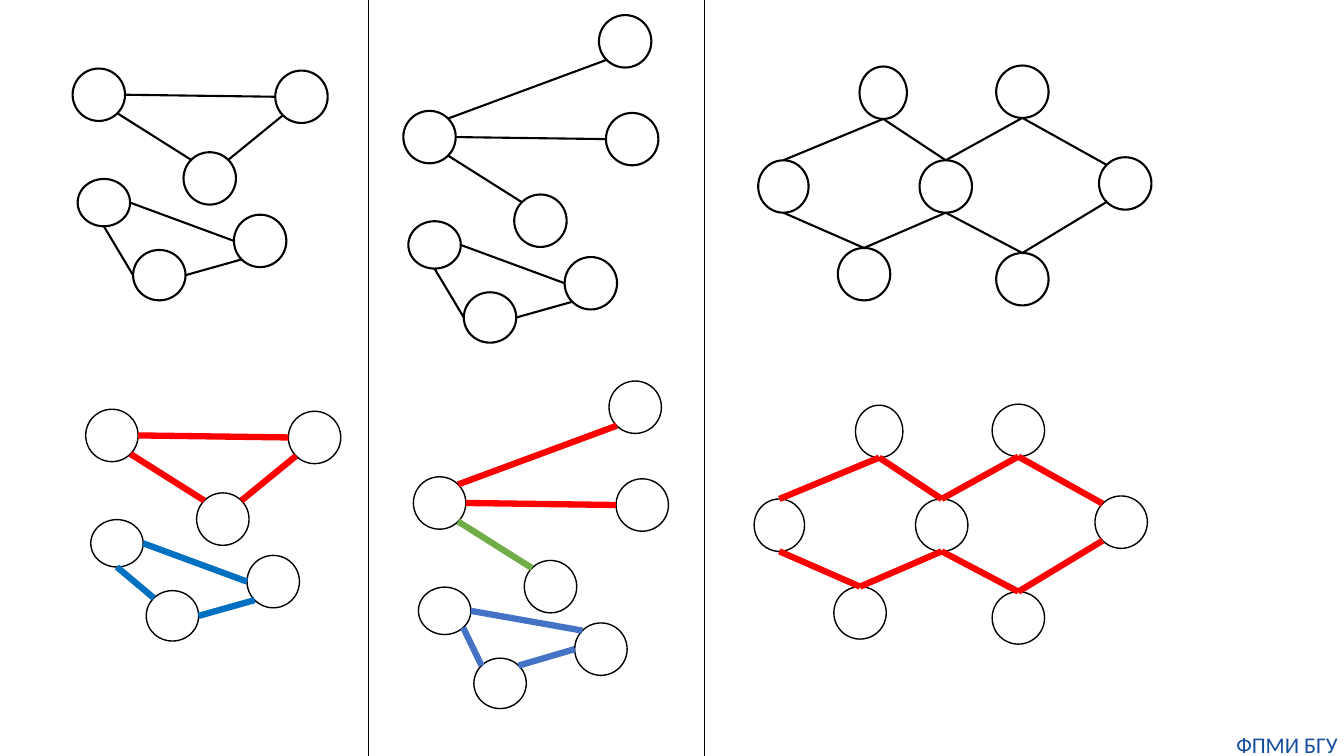
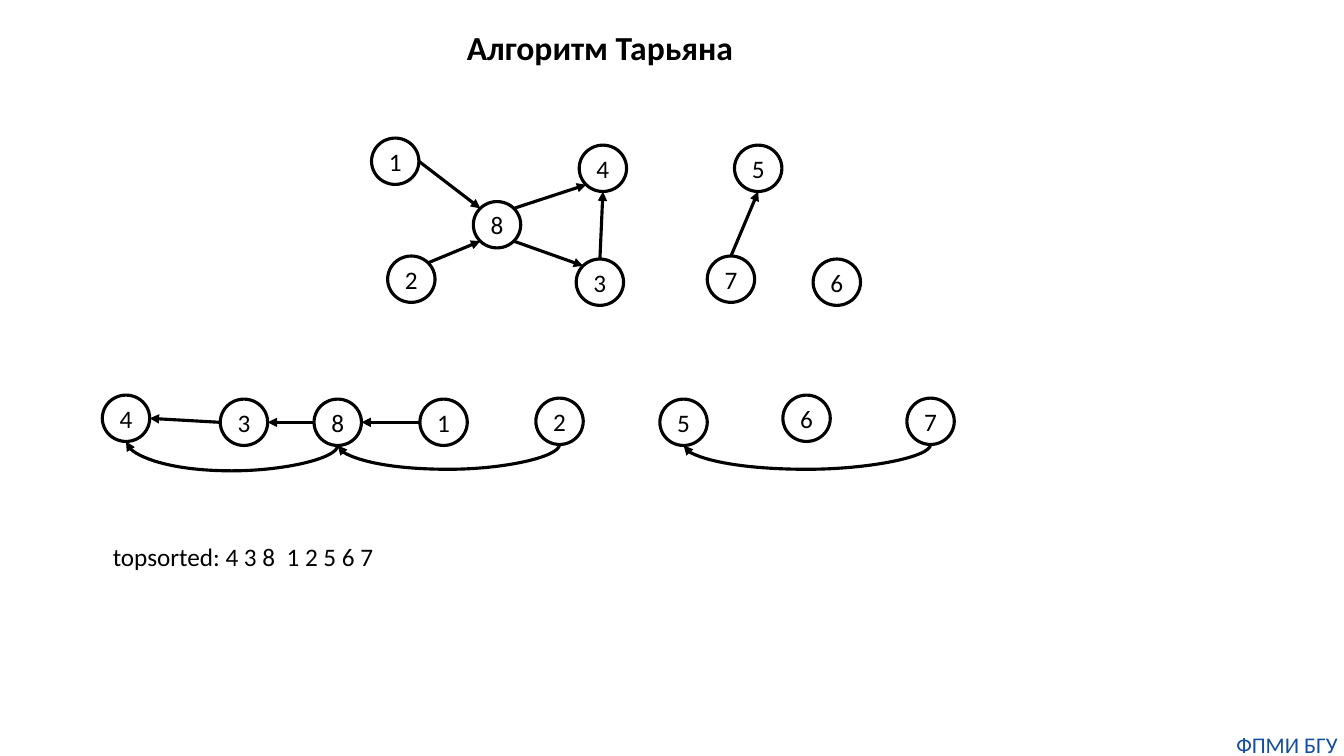
import math

import pptx
import pptx.dml.color
import pptx.enum.shapes
import pptx.enum.text
import pptx.oxml.ns
import pptx.util
from lxml import etree

Inches = pptx.util.Inches
Pt = pptx.util.Pt
qn = pptx.oxml.ns.qn
CONNECTOR = pptx.enum.shapes.MSO_CONNECTOR
ALIGN = pptx.enum.text.PP_ALIGN
ANCHOR = pptx.enum.text.MSO_ANCHOR

FONT = "Calibri"
COLORS = {
    "black": "000000",
    "red": "FF0000",
    "blue": "0070C0",
    "indigo": "4472C4",
    "green": "70AD47",
    "footer": "144E9D",
}
FOOTER = "ФПМИ БГУ"

# Connection sites of an ellipse, counterclockwise from the top
SITES = ["top", "top-left", "left", "bottom-left",
         "bottom", "bottom-right", "right", "top-right"]

# Slide 1: node centres relative to the first node, with width and height
TRIANGLES = {
    "a": (0, 0, 0.52, 0.52),
    "b": (2.01, 0.02, 0.52, 0.52),
    "c": (1.1, 0.83, 0.52, 0.52),
    "d": (0.05, 1.07, 0.52, 0.47),
    "e": (1.6, 1.45, 0.52, 0.52),
    "f": (0.6, 1.79, 0.52, 0.5),
}
STAR = {**TRIANGLES, "g": (1.94, -0.95, 0.52, 0.52)}
HEXAGONS = {
    "a": (0, 0, 0.5, 0.52),
    "b": (0.99, -0.93, 0.47, 0.52),
    "c": (2.37, -0.94, 0.52, 0.52),
    "d": (1.61, 0, 0.52, 0.52),
    "e": (0.8, 0.87, 0.52, 0.52),
    "f": (2.37, 0.92, 0.52, 0.52),
    "g": (3.39, -0.03, 0.52, 0.52),
}

# Edges: start node and site, end node and site
A_TO_B = "a right b left"
A_TO_C = "a bottom-right c top-left"
B_TO_C = "b bottom-left c top-right"
A_TO_G = "a top-right g bottom-left"
D_TO_E = "d right e left"
D_TO_F = "d bottom f left"
F_TO_E = "f right e bottom-left"
HEXAGON_EDGES = [
    "b bottom a top", "b bottom d top", "c bottom d top", "c bottom g top-left",
    "a bottom e top", "d bottom e top", "d bottom f top", "f top g bottom-left",
]

# Graphs: origin, nodes, edges by colour; the coloured ones use thick edges
PLAIN = {"outline": 1.5, "edge": 1.5}
COLORED = {"outline": 1, "edge": 4.5}
GRAPHS = [
    ((0.98, 0.94), TRIANGLES, PLAIN,
     {"black": [A_TO_B, A_TO_C, B_TO_C, D_TO_E, D_TO_F, F_TO_E]}),
    ((1.11, 4.32), TRIANGLES, COLORED,
     {"red": [A_TO_B, A_TO_C, B_TO_C],
      "blue": [D_TO_E, "d bottom f top-left", F_TO_E]}),
    ((4.26, 1.36), STAR, PLAIN,
     {"black": [A_TO_B, A_TO_C, A_TO_G, D_TO_E, D_TO_F, F_TO_E]}),
    ((4.36, 4.99), STAR, COLORED,
     {"red": [A_TO_B, A_TO_G], "green": [A_TO_C],
      "indigo": ["d right e top-left", "d bottom-right f top-left",
                 "f top-right e left"]}),
    ((7.77, 1.85), HEXAGONS, PLAIN, {"black": HEXAGON_EDGES}),
    ((7.73, 5.21), HEXAGONS, COLORED, {"red": HEXAGON_EDGES}),
]
DIVIDERS = [3.65, 6.99]

# Slide 2: numbered node centres and arrows
TITLE = "Алгоритм Тарьяна"
RESULT = "topsorted: 4 3 8  1 2 5 6 7"
NUMBERED_SIZE = (0.47, 0.46)
NUMBERED_LINE = 2.25
CURVE_SAG = 0.25
SOURCE_NODES = {
    "1": (3.92, 1.6), "2": (4.08, 2.77), "3": (5.95, 2.8), "4": (5.98, 1.67),
    "5": (7.52, 1.67), "6": (8.3, 2.8), "7": (7.25, 2.77), "8": (4.93, 2.23),
}
SOURCE_ARROWS = [
    "1 right 8 top-left", "2 top-right 8 bottom-left", "8 top-right 4 bottom-left",
    "8 bottom-right 3 top-left", "3 top 4 bottom", "7 top 5 bottom",
]
SORTED_NODES = {
    "4": (1.25, 4.15), "3": (2.42, 4.19), "8": (3.35, 4.19), "1": (4.4, 4.19),
    "2": (5.55, 4.18), "5": (6.78, 4.19), "6": (8, 4.15), "7": (9.23, 4.18),
}
SORTED_ARROWS = ["3 left 4 right", "8 left 3 right", "1 left 8 right"]
SORTED_CURVES = ["8 bottom 4 bottom", "2 bottom 8 bottom", "7 bottom 5 bottom"]


def set_text(shape, text, size=18, color="black", bold=False, align=ALIGN.LEFT,
             anchor=ANCHOR.TOP, wrap=False, margins=(0.1, 0.05)):
    frame = shape.text_frame
    frame.auto_size = pptx.enum.text.MSO_AUTO_SIZE.NONE
    frame.word_wrap = wrap
    frame.vertical_anchor = anchor
    frame.margin_left = frame.margin_right = Inches(margins[0])
    frame.margin_top = frame.margin_bottom = Inches(margins[1])
    paragraph = frame.paragraphs[0]
    paragraph.alignment = align
    paragraph.line_spacing = 1.0
    paragraph.space_before = Pt(0)
    run = paragraph.add_run()
    run.text = text
    run.font.name = FONT
    run.font.size = Pt(size)
    run.font.bold = bold
    run.font.color.rgb = pptx.dml.color.RGBColor.from_string(COLORS[color])


def set_line(shape, width, color="black"):
    shape.line.width = Pt(width)
    shape.line.color.rgb = pptx.dml.color.RGBColor.from_string(COLORS[color])


def add_textbox(slide, text, box, **text_format):
    shape = slide.shapes.add_textbox(*map(Inches, box))
    set_text(shape, text, **text_format)


def add_footer(slide):
    add_textbox(slide, FOOTER, (12.2, 7.25, 1.13, 0.27), size=16, color="footer",
                align=ALIGN.CENTER, margins=(0, 0))


def add_node(slide, center, size, outline, label=None):
    left, top = (middle - length / 2 for middle, length in zip(center, size))
    node = slide.shapes.add_shape(pptx.enum.shapes.MSO_SHAPE.OVAL,
                                  *map(Inches, (left, top, *size)))
    node.shadow.inherit = False
    node.fill.background()
    set_line(node, outline)
    if label:
        set_text(node, label, align=ALIGN.CENTER, anchor=ANCHOR.MIDDLE, margins=(0, 0))
    return node


def site_point(node, site):
    angle = math.radians(90 + 45 * SITES.index(site))
    return (node.left + int(node.width / 2 * (1 + math.cos(angle))),
            node.top + int(node.height / 2 * (1 - math.sin(angle))))


def add_line(slide, start, end, width, color="black", arrow=False,
             kind=CONNECTOR.STRAIGHT):
    connector = slide.shapes.add_connector(kind, *start, *end)
    set_line(connector, width, color)
    etree.SubElement(connector.element.spPr, qn("a:effectLst"))
    if arrow:
        outline = connector.element.spPr.find(qn("a:ln"))
        etree.SubElement(outline, qn("a:tailEnd"), type="triangle")
    return connector


def bend(connector, drop):
    """Turn a curve by 90 degrees so that it sags below both of its ends."""
    properties = connector.element.spPr
    transform = properties.find(qn("a:xfrm"))
    transform.set("rot", "5400000")
    if drop < 0:
        transform.set("flipH", "1")
    guides = properties.find(qn("a:prstGeom")).find(qn("a:avLst"))
    ratio = int(Inches(CURVE_SAG) / drop * 100000)
    etree.SubElement(guides, qn("a:gd"), name="adj1", fmla=f"val {ratio}")


def add_edge(slide, nodes, edge, width, color="black", arrow=False, curved=False):
    start_name, start_site, end_name, end_site = edge.split()
    ends = [(nodes[start_name], start_site), (nodes[end_name], end_site)]
    start, end = (site_point(*place) for place in ends)
    if curved:
        drop = end[1] - start[1]
        middle = [(first + last) // 2 for first, last in zip(start, end)]
        half = (abs(drop) // 2, abs(start[0] - end[0]) // 2)
        corners = [[value + sign * extent for value, extent in zip(middle, half)]
                   for sign in (-1, 1)]
        connector = add_line(slide, *corners, width, color, arrow, CONNECTOR.CURVE)
        bend(connector, drop)
    else:
        connector = add_line(slide, start, end, width, color, arrow)
    # Attach both ends to the nodes
    attachments = connector.element.find(qn("p:nvCxnSpPr")).find(qn("p:cNvCxnSpPr"))
    for tag, (node, site) in zip(("a:stCxn", "a:endCxn"), ends):
        etree.SubElement(attachments, qn(tag), id=str(node.shape_id),
                         idx=str(SITES.index(site)))


def build_components_slide(presentation):
    slide = presentation.slides.add_slide(presentation.slide_layouts[6])
    add_footer(slide)
    for x in DIVIDERS:
        add_line(slide, (Inches(x), 0), (Inches(x), presentation.slide_height), 0.5)
    for (origin_x, origin_y), layout, style, edges in GRAPHS:
        nodes = {
            name: add_node(slide, (origin_x + x, origin_y + y), (width, height),
                           style["outline"])
            for name, (x, y, width, height) in layout.items()
        }
        for color, names in edges.items():
            for edge in names:
                add_edge(slide, nodes, edge, style["edge"], color)


def build_sorting_slide(presentation):
    slide = presentation.slides.add_slide(presentation.slide_layouts[5])
    title = slide.shapes.title
    title.left, title.top, title.width, title.height = map(
        Inches, (4.53, 0.22, 2.95, 0.5))
    set_text(title, TITLE, size=24, bold=True)
    add_textbox(slide, RESULT, (1.02, 5.32, 2.82, 0.4))
    add_footer(slide)
    for centers, arrows, curves in [(SOURCE_NODES, SOURCE_ARROWS, []),
                                    (SORTED_NODES, SORTED_ARROWS, SORTED_CURVES)]:
        nodes = {label: add_node(slide, center, NUMBERED_SIZE, NUMBERED_LINE, label)
                 for label, center in centers.items()}
        for edge in arrows + curves:
            add_edge(slide, nodes, edge, NUMBERED_LINE, arrow=True,
                     curved=edge in curves)


def main():
    presentation = pptx.Presentation()
    presentation.slide_width = Inches(13.33)
    presentation.slide_height = Inches(7.5)
    build_components_slide(presentation)
    build_sorting_slide(presentation)
    presentation.save("out.pptx")


if __name__ == "__main__":
    main()
